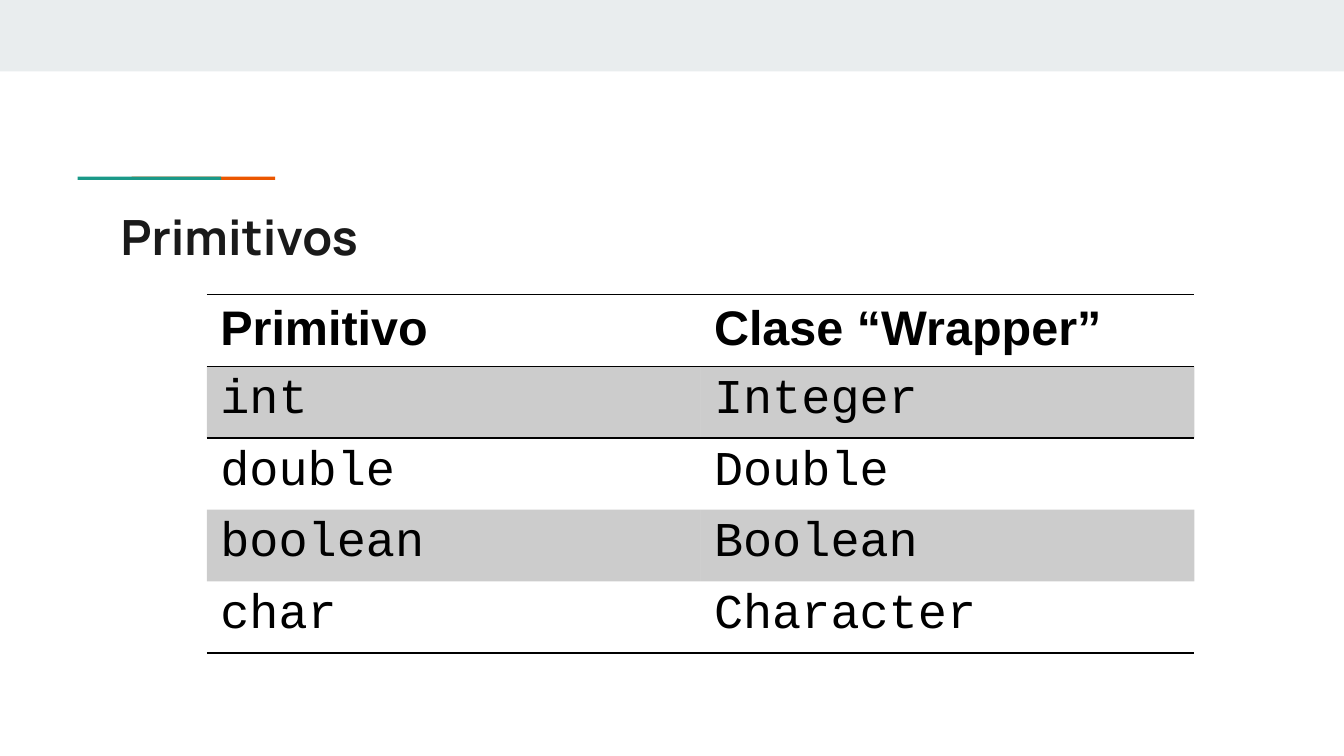
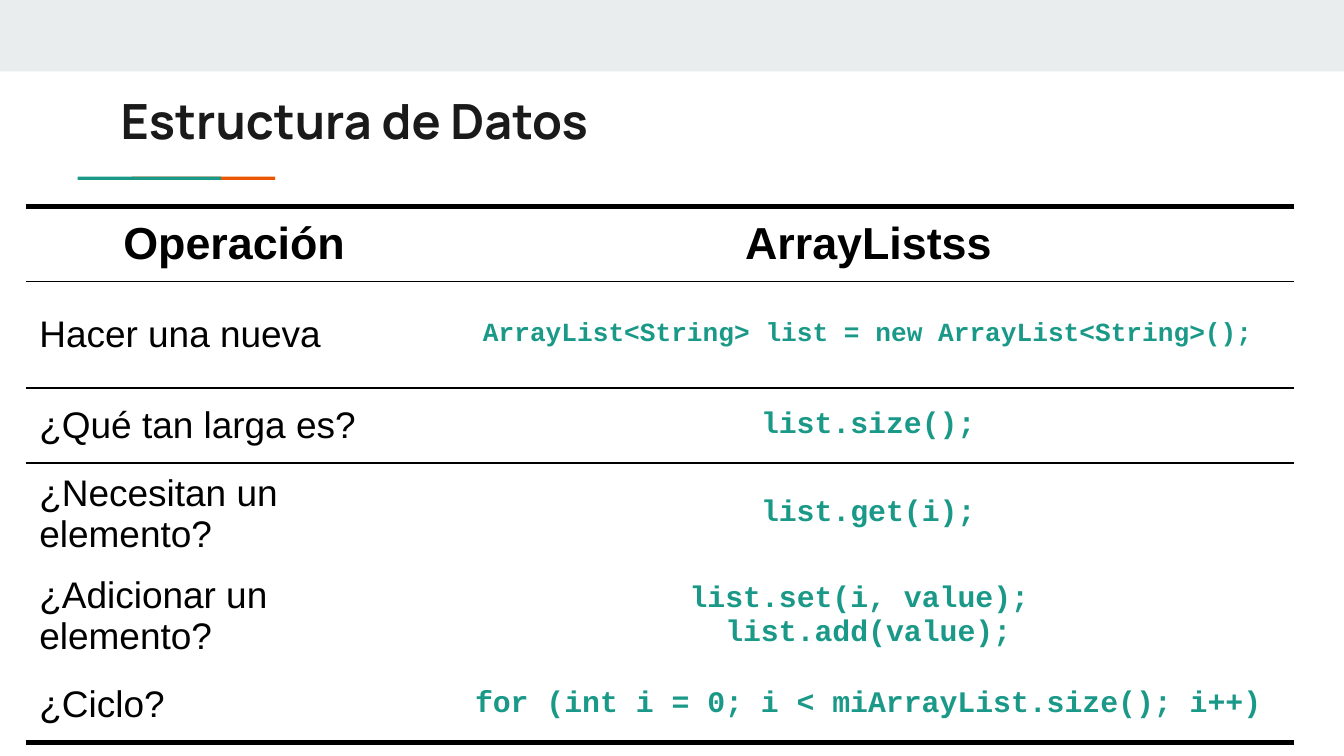
from dataclasses import dataclass

from lxml import etree
from pptx import Presentation
from pptx import util as u
from pptx.dml.color import RGBColor
from pptx.enum import shapes, text
from pptx.oxml.ns import qn

BLACK, WHITE, INK = "000000", "FFFFFF", "1A1A1A"
TEAL, ORANGE, BAND = "1A9988", "EB5600", "E9EDEE"
NO_GRID_STYLE = "{2D5ABB26-0587-4C30-8999-92F81FD0307C}"
SLIDE_WIDTH, SLIDE_HEIGHT = u.Cm(25.4), u.Cm(14.29)


@dataclass(frozen=True)
class Style:
    size: float
    font: str = "Arial"
    color: str = BLACK
    bold: bool = False
    centered: bool = False


@dataclass(frozen=True)
class Bar:
    left: float
    top: float
    width: float
    height: float
    color: str


@dataclass(frozen=True)
class Cell:
    lines: tuple[str, ...]
    style: Style


@dataclass(frozen=True)
class Grid:
    left: float
    top: float
    columns: tuple[float, ...]
    heights: tuple[float, ...]
    rows: list[list[Cell]]
    rules: dict[int, float]  # points, keyed by the row edge counted from the top
    fill: str | None = None
    shaded_rows: tuple[int, ...] = ()
    anchor: text.MSO_ANCHOR = text.MSO_ANCHOR.TOP


TITLE = Style(26, "Manrope", INK, bold=True)
# Orange lies under the teal bar, so only its right end shows
SHARED_BARS = (
    Bar(0, 0, 25.4, 1.35, BAND),
    Bar(2.49, 3.34, 2.71, 0.06, ORANGE),
    Bar(1.47, 3.34, 2.71, 0.06, TEAL),
)


def rgb(color: str) -> RGBColor:
    return RGBColor.from_string(color)


def write(frame, lines: tuple[str, ...], style: Style) -> None:
    frame.word_wrap = True
    for index, line in enumerate(lines):
        paragraph = frame.add_paragraph() if index else frame.paragraphs[0]
        paragraph.alignment = (
            text.PP_ALIGN.CENTER if style.centered else text.PP_ALIGN.LEFT
        )
        run = paragraph.add_run()
        run.text = line
        run.font.size = u.Pt(style.size)
        run.font.name = style.font
        run.font.bold = style.bold
        run.font.color.rgb = rgb(style.color)


def add_bar(slide, bar: Bar) -> None:
    shape = slide.shapes.add_shape(
        shapes.MSO_SHAPE.RECTANGLE,
        u.Cm(bar.left), u.Cm(bar.top), u.Cm(bar.width), u.Cm(bar.height),
    )
    shape.shadow.inherit = False
    shape.fill.solid()
    shape.fill.fore_color.rgb = rgb(bar.color)
    shape.line.fill.background()


def add_titled_slide(deck, title: str, top: float):
    slide = deck.slides.add_slide(deck.slide_layouts[6])
    for bar in SHARED_BARS:
        add_bar(slide, bar)
    frame = slide.shapes.add_textbox(
        u.Cm(2.03), u.Cm(top), u.Cm(21.36), u.Cm(1.5)
    ).text_frame
    frame.margin_left = frame.margin_right = u.Cm(0.25)
    frame.margin_top = frame.margin_bottom = u.Cm(0.25)
    write(frame, (title,), TITLE)
    return slide


def fill_cell(cell, color: str | None, alpha: int = 100) -> None:
    if color is None:
        cell.fill.background()
        return
    cell.fill.solid()
    cell.fill.fore_color.rgb = rgb(color)
    if alpha < 100:
        tone = cell._tc.tcPr.find(f"{qn('a:solidFill')}/{qn('a:srgbClr')}")
        etree.SubElement(tone, qn("a:alpha"), val=str(alpha * 1000))


def rule_cell(cell, top: float | None, bottom: float | None) -> None:
    """Draw horizontal rules; border elements must precede the fill."""
    sides = [(tag, width) for tag, width in (("a:lnT", top), ("a:lnB", bottom)) if width]
    for position, (tag, width) in enumerate(sides):
        line = etree.Element(qn(tag), w=str(u.Pt(width)))
        solid = etree.SubElement(line, qn("a:solidFill"))
        etree.SubElement(solid, qn("a:srgbClr"), val=BLACK)
        cell._tc.get_or_add_tcPr().insert(position, line)


def add_grid(slide, grid: Grid) -> None:
    table = slide.shapes.add_table(
        len(grid.rows), len(grid.columns), u.Cm(grid.left), u.Cm(grid.top),
        u.Cm(sum(grid.columns)), u.Cm(sum(grid.heights)),
    ).table
    table.first_row = table.horz_banding = False
    table._tbl.tblPr.find(qn("a:tableStyleId")).text = NO_GRID_STYLE
    for column, width in zip(table.columns, grid.columns):
        column.width = u.Cm(width)
    for r, (row, height) in enumerate(zip(grid.rows, grid.heights)):
        table.rows[r].height = u.Cm(height)
        for c, content in enumerate(row):
            cell = table.cell(r, c)
            cell.vertical_anchor = grid.anchor
            write(cell.text_frame, content.lines, content.style)
            if r in grid.shaded_rows:
                fill_cell(cell, BLACK, alpha=20)
            else:
                fill_cell(cell, grid.fill)
            rule_cell(cell, grid.rules.get(r), grid.rules.get(r + 1))


def primitives_grid() -> Grid:
    heading = Style(26, bold=True)
    code = Style(26, "Courier New")
    pairs = [
        ("Primitivo", "Clase “Wrapper”"),
        ("int", "Integer"),
        ("double", "Double"),
        ("boolean", "Boolean"),
        ("char", "Character"),
    ]
    rows = [
        [Cell((name,), code if index else heading) for name in pair]
        for index, pair in enumerate(pairs)
    ]
    return Grid(
        3.91, 5.57, (9.33, 9.33), (1.04,) * len(rows), rows,
        rules={0: 1, 1: 1, 5: 1}, shaded_rows=(1, 3),
    )


def operations_grid() -> Grid:
    heading = Style(24, bold=True, centered=True)
    question = Style(19.8)
    long_code = Style(14, "Courier New", TEAL, bold=True, centered=True)
    code = Style(16, "Courier New", TEAL, bold=True, centered=True)
    operations = [
        ("Hacer una nueva", ("ArrayList<String> list = new ArrayList<String>();",), long_code),
        ("¿Qué tan larga es?", ("list.size();",), code),
        ("¿Necesitan un elemento?", ("list.get(i);",), code),
        ("¿Adicionar un elemento?", ("list.set(i, value); ", "list.add(value);"), code),
        ("¿Ciclo?", ("for (int i = 0; i < miArrayList.size(); i++)",), code),
    ]
    rows = [[Cell((name,), heading) for name in ("Operación", "ArrayListss")]]
    rows += [
        [Cell((label,), question), Cell(lines, style)]
        for label, lines, style in operations
    ]
    return Grid(
        0.49, 3.9, (7.87, 16.1), (1.42, 2.01, 1.42, 1.42, 1.68, 1.42), rows,
        rules={0: 3, 1: 1, 2: 1, 6: 3}, fill=WHITE, anchor=text.MSO_ANCHOR.MIDDLE,
    )


def main() -> None:
    deck = Presentation()
    deck.slide_width, deck.slide_height = SLIDE_WIDTH, SLIDE_HEIGHT

    # Primitive types and their wrapper classes
    add_grid(add_titled_slide(deck, "Primitivos", 3.66), primitives_grid())

    # List operations
    add_grid(add_titled_slide(deck, "Estructura de Datos", 1.47), operations_grid())

    deck.save("out.pptx")


if __name__ == "__main__":
    main()
